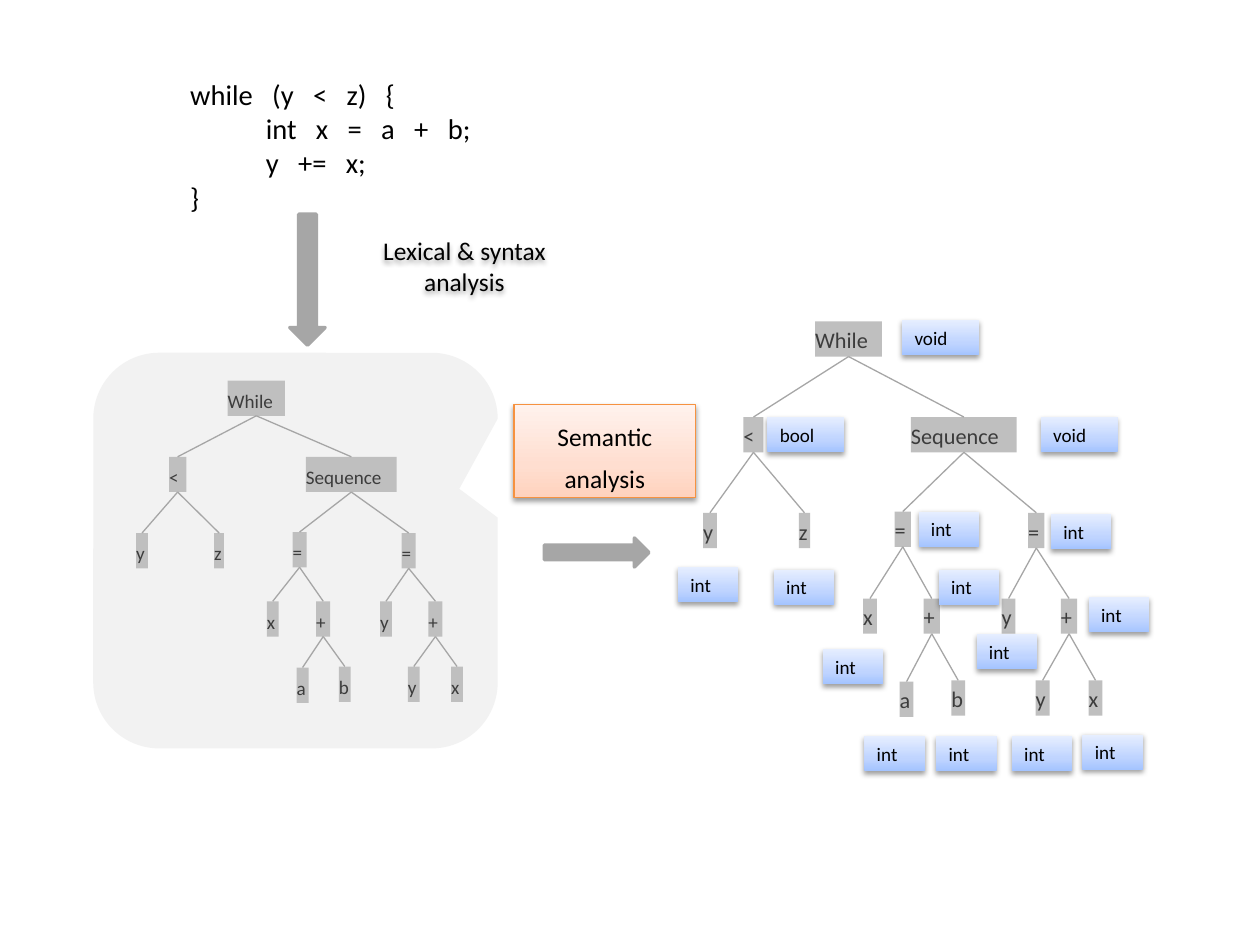
from collections import namedtuple

from pptx import Presentation
from pptx.dml.color import RGBColor
from pptx.enum.shapes import MSO_CONNECTOR, MSO_SHAPE
from pptx.enum.text import MSO_ANCHOR, PP_ALIGN
from pptx.oxml import parse_xml
from pptx.oxml.ns import nsdecls, qn
from pptx.oxml.xmlchemy import OxmlElement
from pptx.util import Inches, Pt

COLORS = {
    "black": "000000", "white": "FFFFFF", "node": "BFBFBF", "node_text": "3C3C3C",
    "line": "A6A6A6", "panel": "F2F2F2", "semantic_line": "F69240",
}
GRADIENTS = {
    "blue": ("A4C4FF", "BFD4FF", "E6EEFF"),
    "orange": ("FFD2BD", "FFDED0", "FFF2ED"),
}
FONT = "Calibri"
NODE_HEIGHT = 0.28
TREE_WIDTH, TREE_DROP, TREE_SIZE = 3.17, 2.85, 12.7
TAG_WIDTHS = {"void": 0.61, "bool": 0.61, "int": 0.48}

Box = namedtuple("Box", "left top width height")
Node = namedtuple("Node", "label x y width parent tag tag_x tag_y")
NODES = {
    "while": Node("While", 0.89, 0, 0.53, None, "void", 1.58, -0.01),
    "less": Node("<", 0.32, 0.76, 0.16, "while", "bool", 0.51, 0.76),
    "sequence": Node("Sequence", 1.65, 0.76, 0.84, "while", "void", 2.68, 0.76),
    "less_y": Node("y", 0, 1.52, 0.11, "less", "int", -0.2, 1.95),
    "less_z": Node("z", 0.76, 1.52, 0.09, "less", "int", 0.56, 1.97),
    "set_x": Node("=", 1.52, 1.51, 0.13, "sequence", "int", 1.71, 1.51),
    "set_y": Node("=", 2.58, 1.52, 0.13, "sequence", "int", 2.76, 1.53),
    "target_x": Node("x", 1.27, 2.2, 0.11, "set_x", "int", 0.95, 2.6),
    "sum_ab": Node("+", 1.75, 2.2, 0.13, "set_x", "int", 1.87, 1.97),
    "target_y": Node("y", 2.37, 2.2, 0.11, "set_y", "int", 2.17, 2.48),
    "sum_yx": Node("+", 2.84, 2.2, 0.13, "set_y", "int", 3.06, 2.19),
    "a": Node("a", 1.56, 2.86, 0.11, "sum_ab", "int", 1.28, 3.29),
    "b": Node("b", 1.97, 2.85, 0.11, "sum_ab", "int", 1.85, 3.29),
    "y": Node("y", 2.64, 2.85, 0.11, "sum_yx", "int", 2.45, 3.29),
    "x": Node("x", 3.06, 2.85, 0.11, "sum_yx", "int", 3.01, 3.28),
}


def rgb(name):
    """Return the named colour."""
    return RGBColor.from_string(COLORS[name])


def add_block(slide, kind, box, fill=None, line=None, weight=0.75):
    """Add a flat preset shape in the box."""
    block = slide.shapes.add_shape(kind, *map(Inches, box))
    block.shadow.inherit = False
    if fill:
        block.fill.solid()
        block.fill.fore_color.rgb = rgb(fill)
    else:
        block.fill.background()
    if line:
        block.line.color.rgb = rgb(line)
        block.line.width = Pt(weight)
    else:
        block.line.fill.background()
    return block


def set_margins(frame):
    """Remove all margins except a small one at the bottom."""
    frame.margin_left = frame.margin_top = frame.margin_right = 0
    frame.margin_bottom = Inches(0.05)


def write(block, lines, size, color="black", align=PP_ALIGN.LEFT, spacing=None, tab=None):
    """Write the lines as paragraphs from the top of the block."""
    frame = block.text_frame
    frame.word_wrap = True
    frame.vertical_anchor = MSO_ANCHOR.TOP
    for index, line in enumerate(lines):
        paragraph = frame.add_paragraph() if index else frame.paragraphs[0]
        if tab:
            tabs = OxmlElement("a:tabLst")
            stop = OxmlElement("a:tab")
            stop.set("pos", str(Inches(tab)))
            stop.set("algn", "l")
            tabs.append(stop)
            paragraph._p.get_or_add_pPr().append(tabs)
        paragraph.alignment = align
        if spacing:
            paragraph.line_spacing = Pt(spacing)
        run = paragraph.add_run()
        run.text = line
        run.font.name = FONT
        run.font.size = Pt(size)
        run.font.color.rgb = rgb(color)


def add_shadow(block):
    """Give the block a soft shadow below it."""
    block.shadow.inherit = False
    block._element.spPr.find(qn("a:effectLst")).append(parse_xml(
        f'<a:outerShdw {nsdecls("a")} blurRad="{Pt(3.1)}" dist="{Pt(1.6)}" dir="5400000" '
        f'rotWithShape="0"><a:srgbClr val="{COLORS["black"]}"><a:alpha val="38000"/>'
        '</a:srgbClr></a:outerShdw>'))


def add_gradient(block, name):
    """Fill the block with a three-stop gradient running upwards."""
    block.fill.gradient()
    stops = "".join(
        f'<a:gs pos="{place}"><a:srgbClr val="{color}"/></a:gs>'
        for place, color in zip((0, 35000, 100000), GRADIENTS[name]))
    properties = block._element.spPr
    properties.replace(properties.find(qn("a:gradFill")), parse_xml(
        f'<a:gradFill {nsdecls("a")} rotWithShape="1"><a:gsLst>{stops}</a:gsLst>'
        '<a:lin ang="16200000" scaled="0"/></a:gradFill>'))


def add_branch(slide, parent, child):
    """Join the bottom of the parent to the top of the child."""
    branch = slide.shapes.add_connector(MSO_CONNECTOR.STRAIGHT, 0, 0, 0, 0)
    branch.begin_connect(parent, 2)
    branch.end_connect(child, 0)
    branch.line.color.rgb = rgb("line")
    branch.line.width = Pt(0.75)
    branch._element.spPr.append(OxmlElement("a:effectLst"))


def add_tree(slide, box, size):
    """Draw the syntax tree scaled to the box."""
    across = box.width / TREE_WIDTH
    down = (box.height - NODE_HEIGHT) / TREE_DROP
    blocks = {}
    for key, node in NODES.items():
        place = Box(box.left + node.x * across, box.top + node.y * down,
                    node.width * size / TREE_SIZE, NODE_HEIGHT)
        blocks[key] = add_block(slide, MSO_SHAPE.RECTANGLE, place, "node")
        set_margins(blocks[key].text_frame)
        write(blocks[key], [node.label], size, "node_text", spacing=18.1)
    for key, node in NODES.items():
        if node.parent:
            add_branch(slide, blocks[node.parent], blocks[key])


def add_type_tags(slide, box):
    """Place the type tag of each node of the tree in the box."""
    for node in NODES.values():
        place = Box(box.left + node.tag_x, box.top + node.tag_y,
                    TAG_WIDTHS[node.tag], NODE_HEIGHT)
        tag = add_block(slide, MSO_SHAPE.RECTANGLE, place)
        add_gradient(tag, "blue")
        add_shadow(tag)
        write(tag, [node.tag], 10.9)


def add_code(slide, box):
    """Place the source code in the box."""
    code = add_block(slide, MSO_SHAPE.RECTANGLE, box, line="white")
    set_margins(code.text_frame)
    write(code, ["while   (y   <   z)   {", "\tint   x   =   a   +   b;",
                 "\ty   +=   x;", "}"], 16.3, tab=0.6)


def add_step_arrow(slide, box, rotation=0):
    """Draw a block arrow to the next step."""
    arrow = add_block(slide, MSO_SHAPE.RIGHT_ARROW, box, "line", "line", 2)
    arrow.rotation = rotation


def add_syntax_panel(slide, box):
    """Draw the callout with the plain syntax tree in it."""
    panel = add_block(slide, MSO_SHAPE.ROUNDED_RECTANGULAR_CALLOUT, box, "panel")
    for index, value in enumerate((0.405, -0.156, 0.167)):
        panel.adjustments[index] = value
    add_tree(slide, Box(box.left + 0.34, box.top + 0.22, 2.59, 2.55), 10.9)


def add_semantic_step(slide, box):
    """Draw the highlighted semantic analysis step."""
    step = add_block(slide, MSO_SHAPE.RECTANGLE, box, line="semantic_line")
    add_gradient(step, "orange")
    add_shadow(step)
    write(step, ["Semantic analysis"], 14.5, align=PP_ALIGN.CENTER, spacing=23.6)


def add_syntax_step(slide, box):
    """Label the lexical and syntax analysis step."""
    step = slide.shapes.add_textbox(*map(Inches, box))
    add_shadow(step)
    write(step, ["Lexical & syntax analysis"], 14.5, align=PP_ALIGN.CENTER)


def main():
    """Build the slide and save it."""
    deck = Presentation()
    deck.slide_width, deck.slide_height = Inches(10), Inches(7.5)
    slide = deck.slides.add_slide(deck.slide_layouts[6])
    typed_tree = Box(5.58, 2.55, TREE_WIDTH, TREE_DROP + NODE_HEIGHT)
    add_tree(slide, typed_tree, TREE_SIZE)
    add_type_tags(slide, typed_tree)
    add_code(slide, Box(1.51, 0.61, 2.81, 1.15))
    add_step_arrow(slide, Box(1.92, 2.08, 1.04, 0.28), 90)
    add_step_arrow(slide, Box(4.32, 4.27, 0.83, 0.23))
    add_syntax_panel(slide, Box(0.74, 2.8, 3.21, 3.14))
    add_semantic_step(slide, Box(4.08, 3.21, 1.44, 0.74))
    add_syntax_step(slide, Box(2.74, 1.82, 1.89, 0.59))
    deck.save("out.pptx")


if __name__ == "__main__":
    main()
